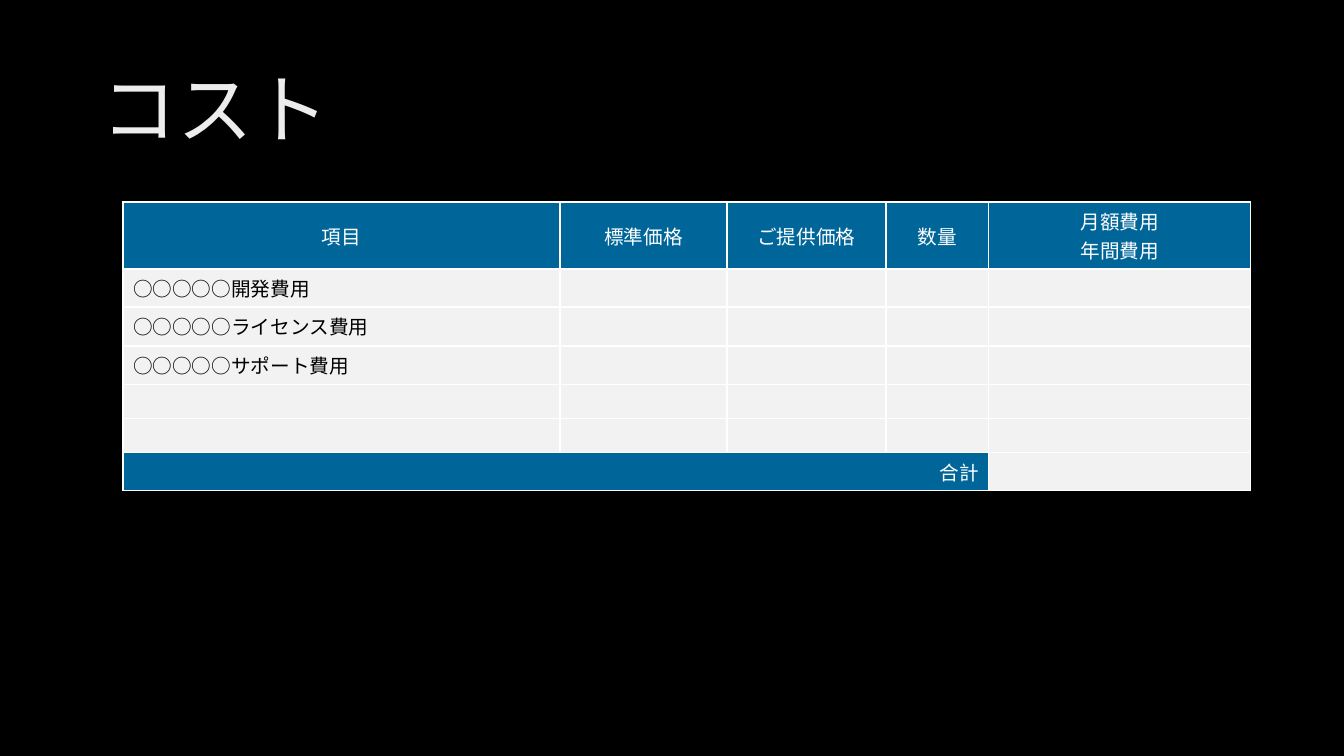
from pptx import Presentation
from pptx.dml.color import RGBColor as Rgb
from pptx.enum.text import MSO_ANCHOR as Anchor, PP_ALIGN as Align
from pptx.oxml import parse_xml as to_xml
from pptx.oxml.ns import nsdecls
from pptx.util import Emu, Pt

COLORS = {
    "back": "000000", "head": "006699", "body": "F2F2F2",
    "light": "FFFFFF", "dark": "000000",
}
SHADES = [(0, "BFBFBF"), (28, "EDEDED"), (100, "FFFFFF")]
COLS = [437, 167, 159, 103, 262]
ROWS = [67, 38, 39, 39, 34, 34, 38]
HEADS = ["項目", "標準価格", "ご提供価格", "数量", "月額費用\n年間費用"]
ITEMS = ["開発費用", "ライセンス費用", "サポート費用"]


def px(num):
    return Emu(round(num * 914400 / 100.8))


class Page:
    face = "Calibri"

    def __init__(self, deck):
        self.slide = deck.slides.add_slide(deck.slide_layouts[6])
        fill = self.slide.background.fill
        fill.solid()
        fill.fore_color.rgb = Rgb.from_string(COLORS["back"])

    def title(self, text, left, top, wide, high):
        frame = self.slide.shapes.add_textbox(
            px(left), px(top), px(wide), px(high)).text_frame
        frame.word_wrap = True
        frame.vertical_anchor = Anchor.MIDDLE
        para = frame.paragraphs[0]
        para.line_spacing = 0.9
        run = para.add_run()
        run.text = text
        run.font.size = Pt(54)
        run.font.name = self.face
        stops = "".join(
            f'<a:gs pos="{pos * 1000}"><a:srgbClr val="{tone}"/></a:gs>'
            for pos, tone in SHADES)
        run.font._element.insert(0, to_xml(
            f'<a:gradFill {nsdecls("a")}><a:gsLst>{stops}</a:gsLst>'
            '<a:lin ang="4800000" scaled="0"/></a:gradFill>'))

    def table(self, left, top, cols, rows):
        grid = self.slide.shapes.add_table(
            len(rows), len(cols), px(left), px(top),
            px(sum(cols)), px(sum(rows))).table
        grid.first_row = grid.horz_banding = False
        for col, wide in zip(grid.columns, cols):
            col.width = px(wide)
        for row, high in zip(grid.rows, rows):
            row.height = px(high)
        for cell in grid.iter_cells():
            self.cell(cell)
        return grid

    def cell(self, cell, text="", fill="body", ink="dark",
             align=Align.LEFT, anchor=Anchor.TOP):
        cell.text = text
        cell.vertical_anchor = anchor
        cell.fill.solid()
        cell.fill.fore_color.rgb = Rgb.from_string(COLORS[fill])
        for para in cell.text_frame.paragraphs:
            para.alignment = align
            para.font.size = Pt(14)
            para.font.name = self.face
            para.font.color.rgb = Rgb.from_string(COLORS[ink])
            if not text:
                para._p.get_or_add_endParaRPr().set("sz", "1400")
        self.border(cell)

    def border(self, cell):
        props = cell._tc.get_or_add_tcPr()
        for spot, side in enumerate(("lnL", "lnR", "lnT", "lnB")):
            for old in props.findall(f"{{*}}{side}"):
                props.remove(old)
            props.insert(spot, to_xml(
                f'<a:{side} {nsdecls("a")} w="12700"><a:solidFill>'
                f'<a:srgbClr val="{COLORS["light"]}"/>'
                f'</a:solidFill></a:{side}>'))


def main():
    deck = Presentation()
    deck.slide_width, deck.slide_height = px(1344), px(756)
    page = Page(deck)
    page.title("コスト", 92, 40, 1159, 146)
    grid = page.table(123, 202, COLS, ROWS)
    for col, text in enumerate(HEADS):
        page.cell(grid.cell(0, col), text, "head", "light",
                  Align.CENTER, Anchor.MIDDLE)
    for row, text in enumerate(ITEMS, 1):
        page.cell(grid.cell(row, 0), "○" * 5 + text)
    last = len(ROWS) - 1
    total = grid.cell(last, 0)
    total.merge(grid.cell(last, 3))
    page.cell(total, "合計", "head", "light", Align.RIGHT)
    deck.save("out.pptx")


if __name__ == "__main__":
    main()
